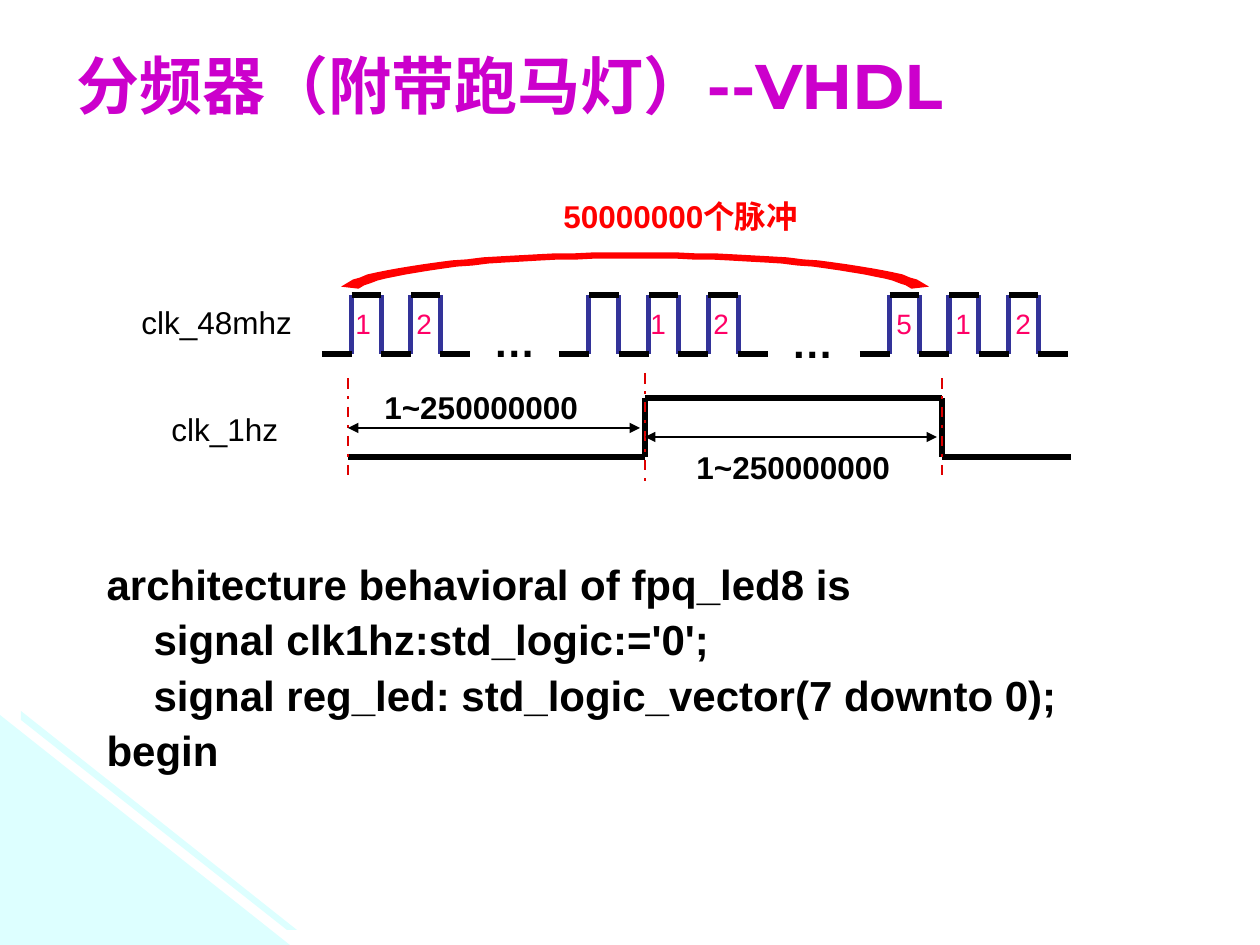
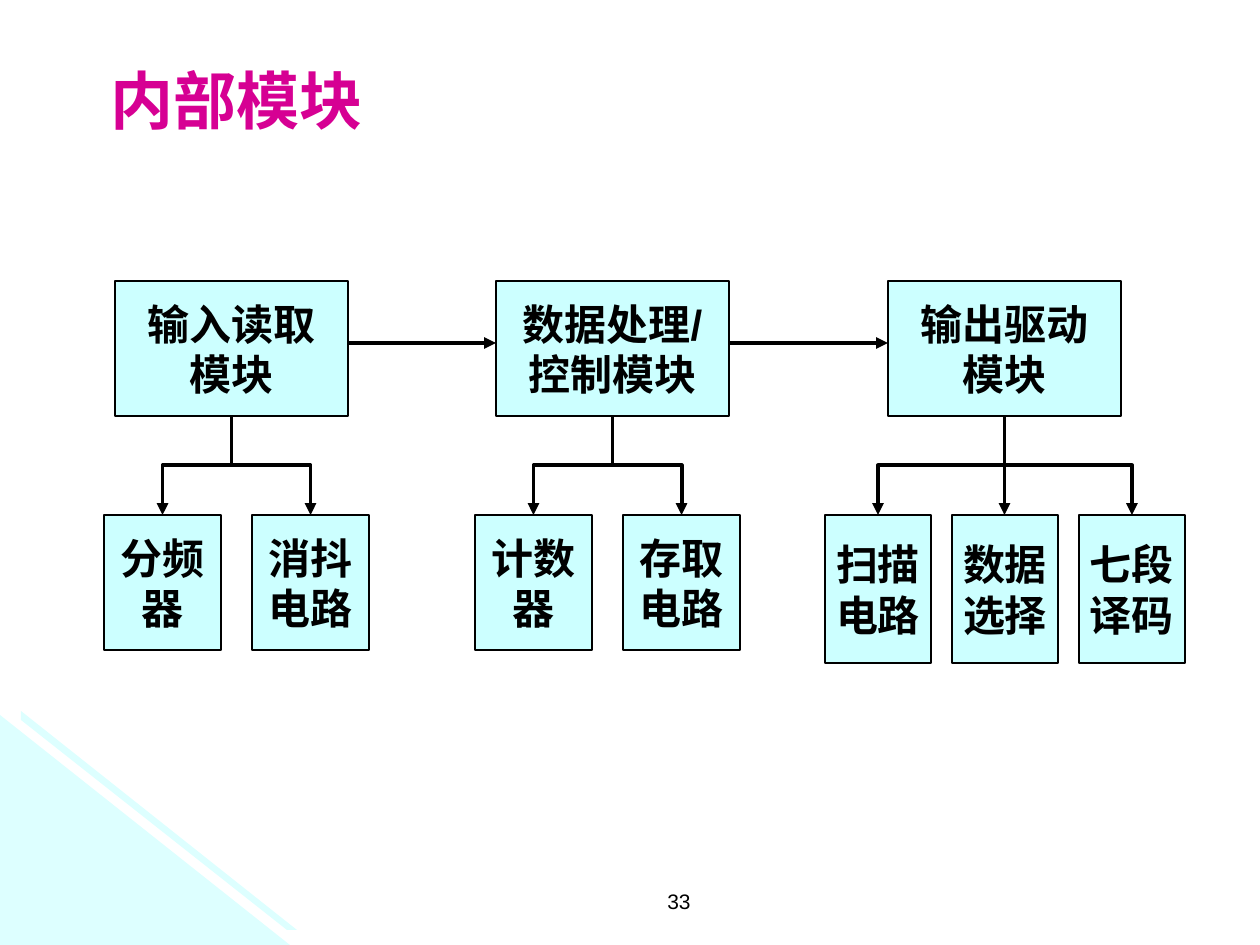
"""Builds two slides: a clock divider timing chart and a module diagram."""
import itertools

import pptx
import pptx.dml.color
import pptx.enum.dml
import pptx.enum.shapes
import pptx.enum.text
import pptx.oxml.ns
import pptx.oxml.xmlchemy
import pptx.util

SCALE = 914400 / 126
WIDTH, HEIGHT = 1260, 945
BLACK, RED, PULSE_BLUE, PULSE_PINK = "000000", "FF0000", "333399", "FF0066"
MARKER_RED, BOX_FILL, CORNER_FILL = "DE0000", "CCFFFF", "DDFFFF"
CORNER = (
    [(0, 715), (290, 945), (0, 945)],
    [(21, 711), (297, 930), (287, 930), (21, 720)],
)

TIMING_TITLE = "分频器（附带跑马灯）--VHDL"
CODE_LINES = [
    ("architecture behavioral of fpq_led8 is", 0),
    ("signal clk1hz:std_logic:='0';", 47),
    ("signal reg_led: std_logic_vector(7 downto 0);", 47),
    ("begin", 0),
]
PULSE_HIGH, PULSE_LOW = 295, 354
PULSE_BURSTS = [(322, 470, 2), (559, 768, 3), (860, 1068, 3)]
PULSE_NUMBERS = [("1", 343), ("2", 404), ("1", 638), ("2", 701),
                 ("5", 884), ("1", 943), ("2", 1003)]
SLOW_CLOCK = [(348, 457), (645, 457), (645, 398), (942, 398), (942, 457), (1071, 457)]
PERIOD_MARKERS = [(348, 378, 483), (645, 373, 488), (942, 378, 478)]
PERIOD_ARROWS = [(348, 640, 428), (645, 937, 437)]
ARC_CENTRE = 635
ARC_CURVES = [
    [(358, 286), (387, 268), (501, 256), (635, 256)],
    [(349, 285), (379, 267), (497, 255), (635, 255)],
]
SIGNAL_NAMES = [("clk_48mhz", (129, 301, 208, 47)), ("clk_1hz", (159, 408, 169, 47))]
PULSE_COUNT = ("50000000个脉冲", (551, 195, 287, 47))
PERIOD_LABELS = [("1~250000000", (372, 382, 253, 50)), ("1~250000000", (684, 442, 253, 50))]
ELLIPSES = [("…", (481, 309, 79, 63)), ("…", (779, 310, 79, 63))]

MODULES_TITLE = "内部模块"
PAGE_NUMBER = "33"
MODULE_TOP, MODULE_WIDTH, MODULE_HEIGHT = 281, 233, 135
PART_TOP, ARROW_TOP = 515, 343
MODULES = [
    {"lines": ["输入读取", "模块"], "left": 115, "first": 104, "pitch": 148,
     "size": (117, 135), "parts": [["分频", "器"], ["消抖", "电路"]]},
    {"lines": ["数据处理/", "控制模块"], "left": 496, "first": 475, "pitch": 148,
     "size": (117, 135), "parts": [["计数", "器"], ["存取", "电路"]]},
    {"lines": ["输出驱动", "模块"], "left": 888, "first": 825, "pitch": 127,
     "size": (106, 148), "parts": [["扫描", "电路"], ["数据", "选择"], ["七段", "译码"]]},
]


def px(value):
    return pptx.util.Emu(round(value * SCALE))


def colour(code):
    return pptx.dml.color.RGBColor.from_string(code)


def apply(target, values):
    for name, value in values.items():
        setattr(target, name, value)


def add_child(parent, tag, **attributes):
    child = pptx.oxml.xmlchemy.OxmlElement(tag)
    for name, value in attributes.items():
        child.set(name, value)
    parent.append(child)


def place(shape, frame):
    apply(shape, dict(zip(("left", "top", "width", "height"), map(px, frame))))


def write(shape, lines, size, code=BLACK, bold=True, font="Arial", frame=None, paragraph=None):
    apply(shape.text_frame, {
        "word_wrap": True,
        "auto_size": pptx.enum.text.MSO_AUTO_SIZE.NONE,
        "vertical_anchor": pptx.enum.text.MSO_ANCHOR.TOP,
        **(frame or {}),
    })
    for number, line in enumerate(lines):
        para = shape.text_frame.add_paragraph() if number else shape.text_frame.paragraphs[0]
        apply(para, {"alignment": pptx.enum.text.PP_ALIGN.LEFT, **(paragraph or {})})
        span = para.add_run()
        span.text = line
        apply(span.font, {"name": font, "size": pptx.util.Pt(size), "bold": bold})
        span.font.color.rgb = colour(code)


def add_label(page, text, frame, size, **style):
    box = page.shapes.add_textbox(*map(px, frame))
    write(box, [text], size, **style)


def add_title(page, text, frame, code, font):
    place(page.shapes.title, frame)
    write(page.shapes.title, [text], 36, code, font=font)


def add_line(page, start, end, width, code=BLACK, dash=None, ends=(), elbow=False):
    kinds = pptx.enum.shapes.MSO_CONNECTOR
    kind = kinds.ELBOW if elbow else kinds.STRAIGHT
    line = page.shapes.add_connector(kind, *map(px, (*start, *end)))
    line.line.width = pptx.util.Pt(width)
    line.line.color.rgb = colour(code)
    if dash:
        line.line.dash_style = dash
    for name in ends:
        add_child(line.line._get_or_add_ln(), f"a:{name}", type="triangle")
    add_child(line.element.spPr, "a:effectLst")
    return line


def add_drop(page, start, end):
    (x1, y1), (x2, y2) = start, end
    if x1 == x2:
        add_line(page, start, end, 2.25, ends=["tailEnd"])
        return
    across, middle_x, middle_y = abs(x2 - x1) / 2, (x1 + x2) / 2, (y1 + y2) / 2
    reach = (y2 - y1) / 2 * (1 if x2 < x1 else -1)
    line = add_line(page, (middle_x - reach, middle_y - across),
                    (middle_x + reach, middle_y + across), 2.25, ends=["tailEnd"], elbow=True)
    turn = 90 if x2 < x1 else 270
    line.element.spPr.find(pptx.oxml.ns.qn("a:xfrm")).set("rot", str(turn * 60000))


def add_outline(page, contours):
    builder = None
    for start, *others in contours:
        if builder is None:
            builder = page.shapes.build_freeform(*start, scale=SCALE)
        else:
            builder.move_to(*start)
        builder.add_line_segments(others, close=True)
    outline = builder.convert_to_shape()
    outline.shadow.inherit = False
    return outline


def add_corner(deck, page):
    corner = add_outline(page, CORNER)
    corner.fill.solid()
    corner.fill.fore_color.rgb = colour(CORNER_FILL)
    corner.line.fill.background()
    corner.element.xpath("./p:nvSpPr/p:cNvPr")[0].set("id", "99")
    deck.slide_master.shapes.element.insert(2, corner.element)


def arch(controls, steps=20):
    half = []
    for step in range(steps + 1):
        t = step / steps
        weights = ((1 - t) ** 3, 3 * t * (1 - t) ** 2, 3 * t * t * (1 - t), t ** 3)
        half.append(tuple(sum(w * p[axis] for w, p in zip(weights, controls))
                          for axis in (0, 1)))
    return half + [(2 * ARC_CENTRE - x, y) for x, y in reversed(half[:-1])]


def add_arc(page):
    inner, outer = map(arch, ARC_CURVES)
    arc = add_outline(page, [inner + outer[::-1]])
    arc.fill.background()
    arc.line.width = pptx.util.Pt(3)
    arc.line.color.rgb = colour(RED)
    add_child(arc.line._get_or_add_ln(), "a:miter", lim="800000")


def add_pulses(page, start, end, count):
    step = (end - start) / (2 * count + 1)
    for number in range(2 * count + 1):
        left, right = start + number * step, start + (number + 1) * step
        level = PULSE_HIGH if number % 2 else PULSE_LOW
        if number < 2 * count:
            add_line(page, (right, PULSE_LOW), (right, PULSE_HIGH), 3, PULSE_BLUE)
        add_line(page, (left, level), (right, level), 3)


def add_code(page):
    body = page.placeholders[1]
    place(body, (94, 547, 1072, 237))
    write(body, [text for text, indent in CODE_LINES], 24,
          paragraph={"line_spacing": 1.1, "space_before": pptx.util.Pt(0)})
    for para, (text, indent) in zip(body.text_frame.paragraphs, CODE_LINES):
        properties = para._p.get_or_add_pPr()
        properties.set("marL", str(px(indent)))
        properties.set("indent", "0")
        add_child(properties, "a:buNone")


def build_timing(page):
    tight = {"paragraph": {"line_spacing": 0.9}}
    add_title(page, TIMING_TITLE, (64, 40, 1134, 105), "CC00CC", "Montserrat")
    add_code(page)
    for burst in PULSE_BURSTS:
        add_pulses(page, *burst)
    for text, left in PULSE_NUMBERS:
        add_label(page, text, (left, 304, 49, 43), 16, code=PULSE_PINK, bold=False, **tight)
    for text, frame in SIGNAL_NAMES:
        add_label(page, text, frame, 18, bold=False, **tight)
    for start, end in itertools.pairwise(SLOW_CLOCK):
        add_line(page, start, end, 3)
    add_arc(page)
    add_label(page, *PULSE_COUNT, 18, code=RED, **tight)
    for x, top, bottom in PERIOD_MARKERS:
        add_line(page, (x, top), (x, bottom), 1.5, MARKER_RED,
                 dash=pptx.enum.dml.MSO_LINE.DASH_DOT)
    for left, right, y in PERIOD_ARROWS:
        add_line(page, (left, y), (right, y), 1, ends=["headEnd", "tailEnd"])
    for text, frame in PERIOD_LABELS:
        add_label(page, text, frame, 18)
    for text, frame in ELLIPSES:
        add_label(page, text, frame, 24)


def add_block(page, lines, frame):
    block = page.shapes.add_shape(pptx.enum.shapes.MSO_SHAPE.RECTANGLE, *map(px, frame))
    block.shadow.inherit = False
    block.fill.solid()
    block.fill.fore_color.rgb = colour(BOX_FILL)
    block.line.color.rgb = colour(BLACK)
    block.line.width = pptx.util.Pt(0.75)
    write(block, lines, 24,
          frame={"word_wrap": False, "vertical_anchor": pptx.enum.text.MSO_ANCHOR.MIDDLE},
          paragraph={"alignment": pptx.enum.text.PP_ALIGN.CENTER})


def build_modules(page):
    add_title(page, MODULES_TITLE, (98, 55, 514, 89), "D60093", "Karla")
    add_label(page, PAGE_NUMBER, (410, 882, 293, 32), 12, bold=False,
              paragraph={"alignment": pptx.enum.text.PP_ALIGN.RIGHT})
    for module in MODULES:
        add_block(page, module["lines"],
                  (module["left"], MODULE_TOP, MODULE_WIDTH, MODULE_HEIGHT))
        stem = (module["left"] + MODULE_WIDTH / 2, MODULE_TOP + MODULE_HEIGHT)
        width, height = module["size"]
        for number, lines in enumerate(module["parts"]):
            left = module["first"] + number * module["pitch"]
            add_block(page, lines, (left, PART_TOP, width, height))
            centre = left + width / 2
            if abs(centre - stem[0]) < 2:
                centre = stem[0]
            add_drop(page, stem, (centre, PART_TOP))
    for source, target in itertools.pairwise(MODULES):
        add_line(page, (source["left"] + MODULE_WIDTH, ARROW_TOP),
                 (target["left"], ARROW_TOP), 2.25, ends=["tailEnd"])


def main():
    deck = pptx.Presentation()
    deck.slide_width, deck.slide_height = px(WIDTH), px(HEIGHT)
    timing = deck.slides.add_slide(deck.slide_layouts[1])
    modules = deck.slides.add_slide(deck.slide_layouts[5])
    add_corner(deck, timing)
    build_timing(timing)
    build_modules(modules)
    deck.save("out.pptx")


if __name__ == "__main__":
    main()
